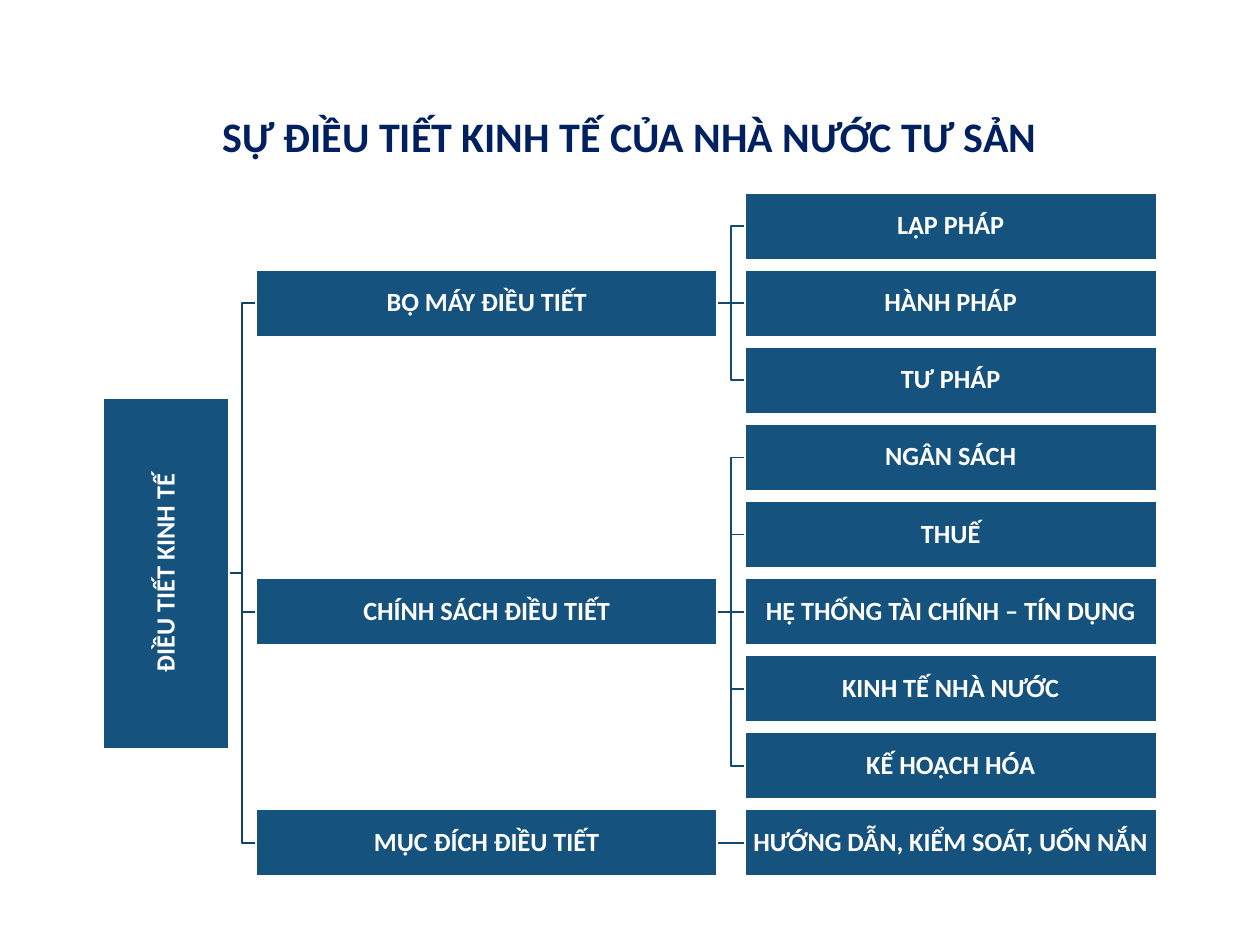
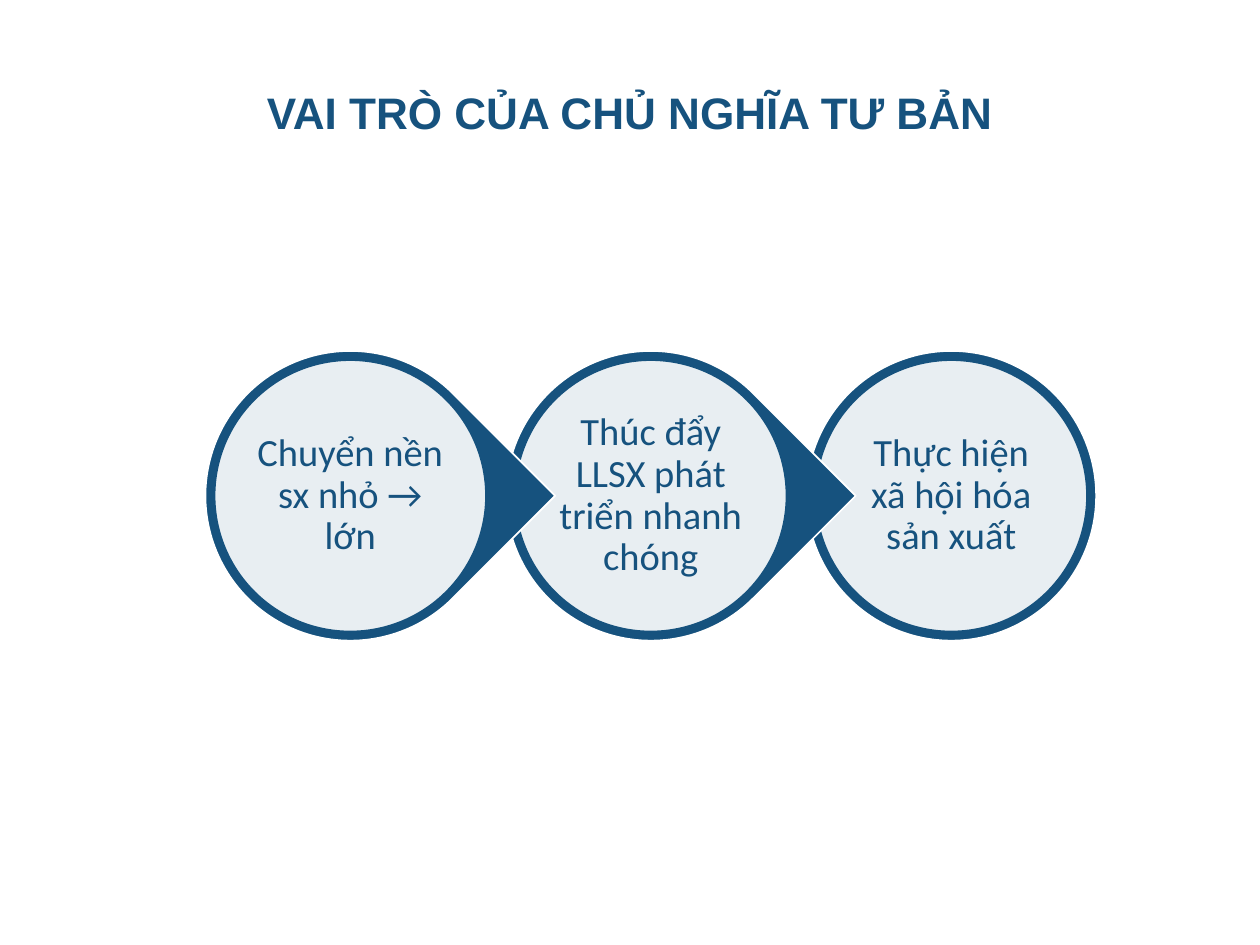
import pptx
import pptx.util
import pptx.dml.color
import pptx.enum.shapes
import pptx.enum.text
import pptx.oxml.ns
import lxml.etree

PX = 9144
C = {"blue": "16527E", "navy": "002060", "white": "FFFFFF", "stem": "124265", "twig": "144A72"}
SHAPE = pptx.enum.shapes.MSO_SHAPE
CONN = pptx.enum.shapes.MSO_CONNECTOR

TREE_TITLE = "SỰ ĐIỀU TIẾT KINH TẾ CỦA NHÀ NƯỚC TƯ SẢN"
ROOT = "ĐIỀU TIẾT KINH TẾ"
BRANCHES = [
    ("BỘ MÁY ĐIỀU TIẾT", ["LẬP PHÁP", "HÀNH PHÁP", "TƯ PHÁP"]),
    ("CHÍNH SÁCH ĐIỀU TIẾT", ["NGÂN SÁCH", "THUẾ", "HỆ THỐNG TÀI CHÍNH – TÍN DỤNG",
                              "KINH TẾ NHÀ NƯỚC", "KẾ HOẠCH HÓA"]),
    ("MỤC ĐÍCH ĐIỀU TIẾT", ["HƯỚNG DẪN, KIỂM SOÁT, UỐN NẮN"]),
]
ROLES_TITLE = "VAI TRÒ CỦA CHỦ NGHĨA TƯ BẢN"
ROLES = ["Chuyển nền sx nhỏ → lớn", "Thúc đẩy LLSX phát triển nhanh chóng",
         "Thực hiện xã hội hóa sản xuất"]


def px(n):
    return pptx.util.Emu(round(n * PX))


def rgb(name):
    return pptx.dml.color.RGBColor.from_string(C[name])


def put_text(sp, text, size, color, font="Calibri", bold=False, margins=(2, 2), spacing=None):
    tf = sp.text_frame
    tf.word_wrap = True
    tf.auto_size = pptx.enum.text.MSO_AUTO_SIZE.NONE
    tf.vertical_anchor = pptx.enum.text.MSO_ANCHOR.MIDDLE
    tf.margin_left = tf.margin_right = px(margins[0])
    tf.margin_top = tf.margin_bottom = px(margins[1])
    p = tf.paragraphs[0]
    p.alignment = pptx.enum.text.PP_ALIGN.CENTER
    p.line_spacing = spacing
    r = p.add_run()
    r.text = text
    r.font.name = font
    r.font.size = pptx.util.Pt(size)
    r.font.bold = bold
    r.font.color.rgb = rgb(color)


def add_title_slide(prs, title, top, **fmt):
    s = prs.slides.add_slide(prs.slide_layouts[5])
    sp = s.shapes.title
    sp.left, sp.top, sp.width, sp.height = px(83), px(top), px(1833), px(103)
    put_text(sp, title, bold=True, margins=(27, 13), **fmt)
    return s


def add_block(s, kind, x, y, w, h, fill="blue", line="white", opacity=None, rotation=0):
    sp = s.shapes.add_shape(kind, px(x), px(y), px(w), px(h))
    sp.shadow.inherit = False
    sp.rotation = rotation
    sp.fill.solid()
    sp.fill.fore_color.rgb = rgb(fill)
    if opacity:
        clr = sp.fill._xPr.find(".//" + pptx.oxml.ns.qn("a:srgbClr"))
        lxml.etree.SubElement(clr, pptx.oxml.ns.qn("a:alpha")).set("val", str(opacity * 1000))
    sp.line.color.rgb = rgb(line)
    sp.line.width = pptx.util.Pt(2)
    return sp


def add_link(s, x1, y1, x2, y2, color):
    kind = CONN.STRAIGHT if abs(y1 - y2) < 1 else CONN.ELBOW
    cn = s.shapes.add_connector(kind, px(x1), px(y1), px(x2), px(y2))
    cn.line.color.rgb = rgb(color)
    cn.line.width = pptx.util.Pt(2)
    lxml.etree.SubElement(cn._element.spPr, pptx.oxml.ns.qn("a:effectLst"))


def add_tree(s, x, y, w, h, root, branches):
    root_w, root_len, branch_w, leaf_w, node_h = 199, 557, 732, 654, 106
    gap = (w - root_w - branch_w - leaf_w) / 2
    branch_x = x + root_w + gap
    leaf_x = x + w - leaf_w
    pitch = (h - node_h) / (sum(len(leaves) for _, leaves in branches) - 1)
    nodes, mids, row = [], [], 0
    for name, leaves in branches:
        leaf_mids = [y + node_h / 2 + (row + i) * pitch for i in range(len(leaves))]
        row += len(leaves)
        mid = (leaf_mids[0] + leaf_mids[-1]) / 2
        mids.append(mid)
        nodes.append((name, branch_x, mid, branch_w))
        for leaf, leaf_mid in zip(leaves, leaf_mids):
            add_link(s, leaf_x - gap, mid, leaf_x, leaf_mid, "twig")
            nodes.append((leaf, leaf_x, leaf_mid, leaf_w))
    root_mid = (mids[0] + mids[-1]) / 2
    for mid in mids:
        add_link(s, x + root_w, root_mid, branch_x, mid, "stem")
    label = dict(size=30, color="white", bold=True, spacing=0.9)
    sp = add_block(s, SHAPE.RECTANGLE, x + (root_w - root_len) / 2, root_mid - root_w / 2,
                   root_len, root_w, rotation=270)
    put_text(sp, root, **label)
    for name, left, mid, width in nodes:
        sp = add_block(s, SHAPE.RECTANGLE, left, mid - node_h / 2, width, node_h)
        put_text(sp, name, **label)


def add_circle_chain(s, x, y, w, h, steps):
    disc = h - 29
    pitch = (w - h) / (len(steps) - 1)
    for i in reversed(range(len(steps))):
        left = x + i * pitch
        if i == len(steps) - 1:
            add_block(s, SHAPE.OVAL, left, y, h, h)
        else:
            add_block(s, SHAPE.TEAR, left, y, h, h, rotation=45)
        inset = (h - disc) / 2
        sp = add_block(s, SHAPE.OVAL, left + inset, y + inset, disc, disc,
                       fill="white", line="blue", opacity=90)
        put_text(sp, steps[i], 44, "blue", margins=(4, 4), spacing=0.9)


def main():
    prs = pptx.Presentation()
    prs.slide_width, prs.slide_height = px(2000), px(1500)
    s = add_title_slide(prs, TREE_TITLE, 164, size=48, color="navy")
    add_tree(s, 164, 306, 1672, 1085, ROOT, BRANCHES)
    s = add_title_slide(prs, ROLES_TITLE, 126, size=50.4, color="blue", font="Arial")
    add_circle_chain(s, 326, 557, 1414, 460, ROLES)
    prs.save("out.pptx")


if __name__ == "__main__":
    main()
